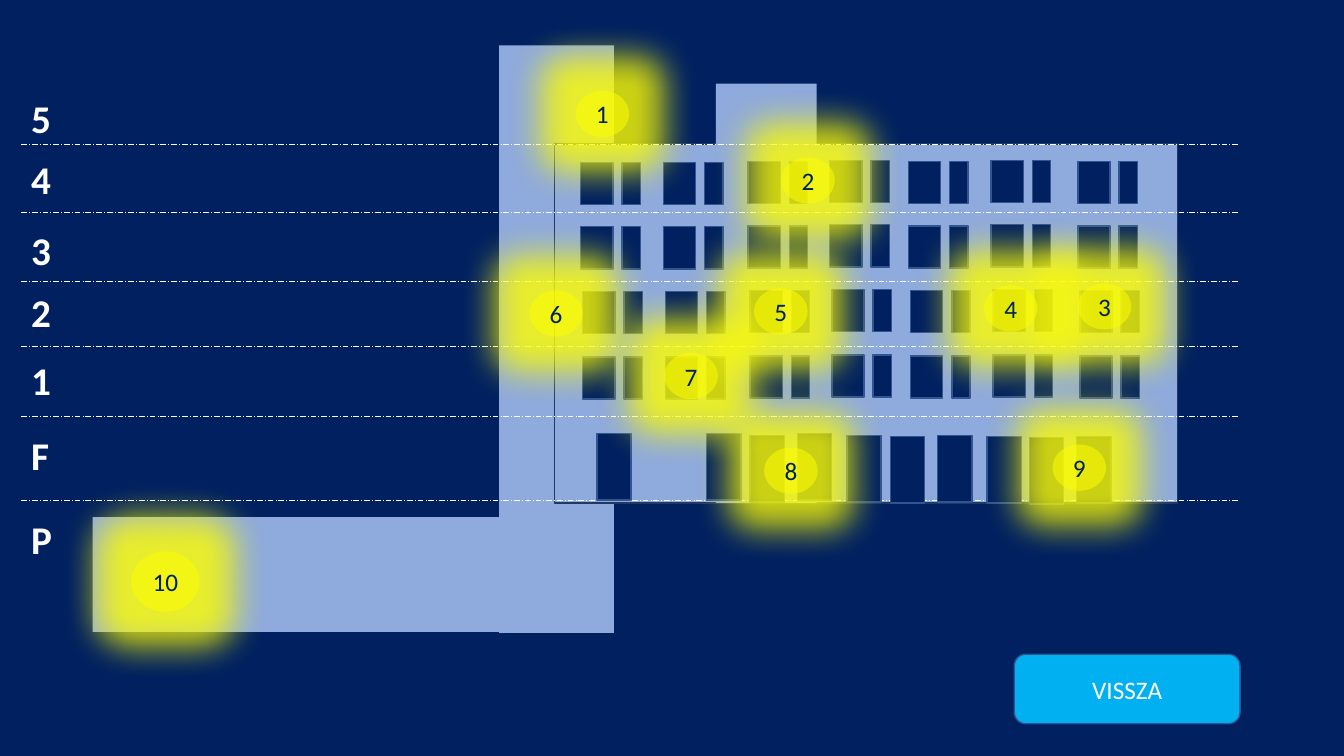
from typing import NamedTuple, Optional

from lxml import etree
from pptx import Presentation
from pptx.dml.color import RGBColor
from pptx.enum.dml import MSO_LINE
from pptx.enum.shapes import MSO_CONNECTOR, MSO_SHAPE
from pptx.enum.text import MSO_ANCHOR, MSO_AUTO_SIZE, PP_ALIGN
from pptx.oxml.ns import qn
from pptx.shapes.autoshape import Shape
from pptx.shapes.shapetree import GroupShapes, SlideShapes
from pptx.slide import Slide
from pptx.text.text import TextFrame
from pptx.util import Inches, Pt

RECTANGLE = MSO_SHAPE.RECTANGLE
ROUNDED = MSO_SHAPE.ROUNDED_RECTANGLE
OVAL = MSO_SHAPE.OVAL
STRAIGHT = MSO_CONNECTOR.STRAIGHT
DASH_DOT = MSO_LINE.LONG_DASH_DOT
MIDDLE = MSO_ANCHOR.MIDDLE
CENTER = PP_ALIGN.CENTER
FIT_SHAPE = MSO_AUTO_SIZE.SHAPE_TO_FIT_TEXT

FONT = "Calibri"
COLORS = {
    "navy": "002060",
    "wall": "8FAADC",
    "wall_edge": "203864",
    "edge": "325491",
    "white": "FFFFFF",
    "yellow": "FFFF00",
    "button": "00B0F0",
}
MARKER_OPACITY = 52
GLOW_OPACITY = 80
GLOW_RADIUS = Inches(0.69)


class Box(NamedTuple):
    left: float
    top: float
    width: float
    height: float


class Wall(NamedTuple):
    box: Box
    edge: Optional[str] = None


class WindowRow(NamedTuple):
    shift: float
    top: float


class WindowPair(NamedTuple):
    left: float
    drop: float


class Opening(NamedTuple):
    left: float
    top: float


class FloorLabel(NamedTuple):
    text: str
    top: float


class Marker(NamedTuple):
    text: str
    left: float
    top: float
    width: float = 0.53
    height: float = 0.46


MAIN_WALLS = [
    Wall(Box(4.95, 0.45, 1.14, 5.83)),
    Wall(Box(5.5, 1.43, 6.18, 3.56), "wall_edge"),
    Wall(Box(7.1, 0.83, 1, 4.16)),
]
BASEMENT = Wall(Box(0.92, 5.13, 4.03, 1.14))
FLOOR_LINES = [4.13, 3.44, 2.79, 2.11, 1.43, 4.96]
WINDOW_ROWS = [WindowRow(0, 1.59), WindowRow(0, 2.23),
               WindowRow(0.02, 2.87), WindowRow(0.02, 3.52)]
WINDOW_PAIRS = [
    WindowPair(5.76, 0.02), WindowPair(6.58, 0.02), WindowPair(7.42, 0.01),
    WindowPair(8.23, 0), WindowPair(9.01, 0.01), WindowPair(9.83, 0),
    WindowPair(10.69, 0.01),
]
GROUND_OPENINGS = [
    Opening(5.92, 4.3), Opening(7.01, 4.3), Opening(7.44, 4.32),
    Opening(7.91, 4.3), Opening(8.4, 4.32), Opening(8.83, 4.33),
    Opening(9.3, 4.32), Opening(9.79, 4.33), Opening(10.21, 4.34),
    Opening(10.68, 4.33),
]
FLOOR_LABELS = [
    FloorLabel("5", 0.89), FloorLabel("4", 1.49), FloorLabel("3", 2.2),
    FloorLabel("2", 2.81), FloorLabel("1", 3.49), FloorLabel("F", 4.23),
    FloorLabel("P", 5.06),
]
MARKERS = [
    Marker("1", 5.71, 0.9), Marker("2", 7.75, 1.56), Marker("3", 10.69, 2.81),
    Marker("4", 9.76, 2.83), Marker("5", 7.48, 2.86), Marker("6", 5.25, 2.88),
    Marker("7", 6.59, 3.5), Marker("8", 7.58, 4.44), Marker("9", 10.44, 4.41),
    Marker("10", 1.3, 5.47, 0.68, 0.6),
]


def color(name: str) -> RGBColor:
    return RGBColor.from_string(COLORS[name])


def add_block(shapes: SlideShapes | GroupShapes, kind: MSO_SHAPE, box: Box,
              fill: str, edge: Optional[str] = None) -> Shape:
    """Add a filled shape without shadow, outlined if an edge colour is given."""
    shape = shapes.add_shape(kind, *map(Inches, box))
    shape.shadow.inherit = False
    shape.fill.solid()
    shape.fill.fore_color.rgb = color(fill)
    if edge:
        shape.line.color.rgb = color(edge)
        shape.line.width = Pt(1)
    else:
        shape.line.fill.background()
    return shape


def write_text(frame: TextFrame, text: str, size: int, font_color: str,
               bold: bool = False) -> None:
    frame.text = text
    font = frame.paragraphs[0].runs[0].font
    font.name = FONT
    font.size = Pt(size)
    font.bold = bold
    font.color.rgb = color(font_color)


def center_text(shape: Shape, text: str, font_color: str) -> None:
    frame = shape.text_frame
    write_text(frame, text, 18, font_color)
    frame.vertical_anchor = MIDDLE
    frame.paragraphs[0].alignment = CENTER


def add_alpha(color_element: etree._Element, percent: int) -> None:
    etree.SubElement(color_element, qn("a:alpha"), val=str(percent * 1000))


def add_floor_line(slide: Slide, height: float) -> None:
    line = slide.shapes.add_connector(
        STRAIGHT, Inches(0.21), Inches(height), Inches(12.28), Inches(height))
    line.line.color.rgb = color("white")
    line.line.width = Pt(0.5)
    line.line.dash_style = DASH_DOT
    etree.SubElement(line._element.spPr, qn("a:effectLst"))


def add_window_row(slide: Slide, row: WindowRow) -> None:
    """Group one floor's pairs of a wide and a narrow window."""
    group = slide.shapes.add_group_shape()
    for pair in WINDOW_PAIRS:
        for offset, width in ((0, 0.32), (0.41, 0.18)):
            box = Box(pair.left + row.shift + offset, row.top + pair.drop, width, 0.42)
            add_block(group.shapes, RECTANGLE, box, "navy", "edge")


def add_floor_label(slide: Slide, label: FloorLabel) -> None:
    box = Box(0.21, label.top, 0.4, 0.57)
    frame = slide.shapes.add_textbox(*map(Inches, box)).text_frame
    frame.word_wrap = False
    frame.auto_size = FIT_SHAPE
    write_text(frame, label.text, 28, "white", bold=True)


def add_marker(slide: Slide, marker: Marker) -> None:
    """Add a translucent numbered oval with a wide yellow glow."""
    box = Box(marker.left, marker.top, marker.width, marker.height)
    shape = add_block(slide.shapes, OVAL, box, "yellow")
    properties = shape._element.spPr
    add_alpha(properties.find(qn("a:solidFill")).find(qn("a:srgbClr")), MARKER_OPACITY)
    effects = properties.find(qn("a:effectLst"))
    glow = etree.SubElement(effects, qn("a:glow"), rad=str(GLOW_RADIUS))
    glow_color = etree.SubElement(glow, qn("a:srgbClr"), val=COLORS["yellow"])
    add_alpha(glow_color, GLOW_OPACITY)
    frame = shape.text_frame
    frame.word_wrap = len(marker.text) == 1
    center_text(shape, marker.text, "navy")


def main() -> None:
    presentation = Presentation()
    presentation.slide_width = Inches(13.33)
    presentation.slide_height = Inches(7.5)
    slide = presentation.slides.add_slide(presentation.slide_layouts[6])
    slide.background.fill.solid()
    slide.background.fill.fore_color.rgb = color("navy")

    for wall in MAIN_WALLS:
        add_block(slide.shapes, RECTANGLE, wall.box, "wall", wall.edge)
    for height in FLOOR_LINES:
        add_floor_line(slide, height)
    for row in WINDOW_ROWS:
        add_window_row(slide, row)
    for opening in GROUND_OPENINGS:
        add_block(slide.shapes, RECTANGLE, Box(*opening, 0.34, 0.66), "navy", "edge")
    for label in FLOOR_LABELS:
        add_floor_label(slide, label)
    add_block(slide.shapes, RECTANGLE, BASEMENT.box, "wall")
    for marker in MARKERS:
        add_marker(slide, marker)
    button = add_block(slide.shapes, ROUNDED, Box(10.06, 6.49, 2.24, 0.69), "button", "edge")
    center_text(button, "VISSZA", "white")
    presentation.save("out.pptx")


if __name__ == "__main__":
    main()
